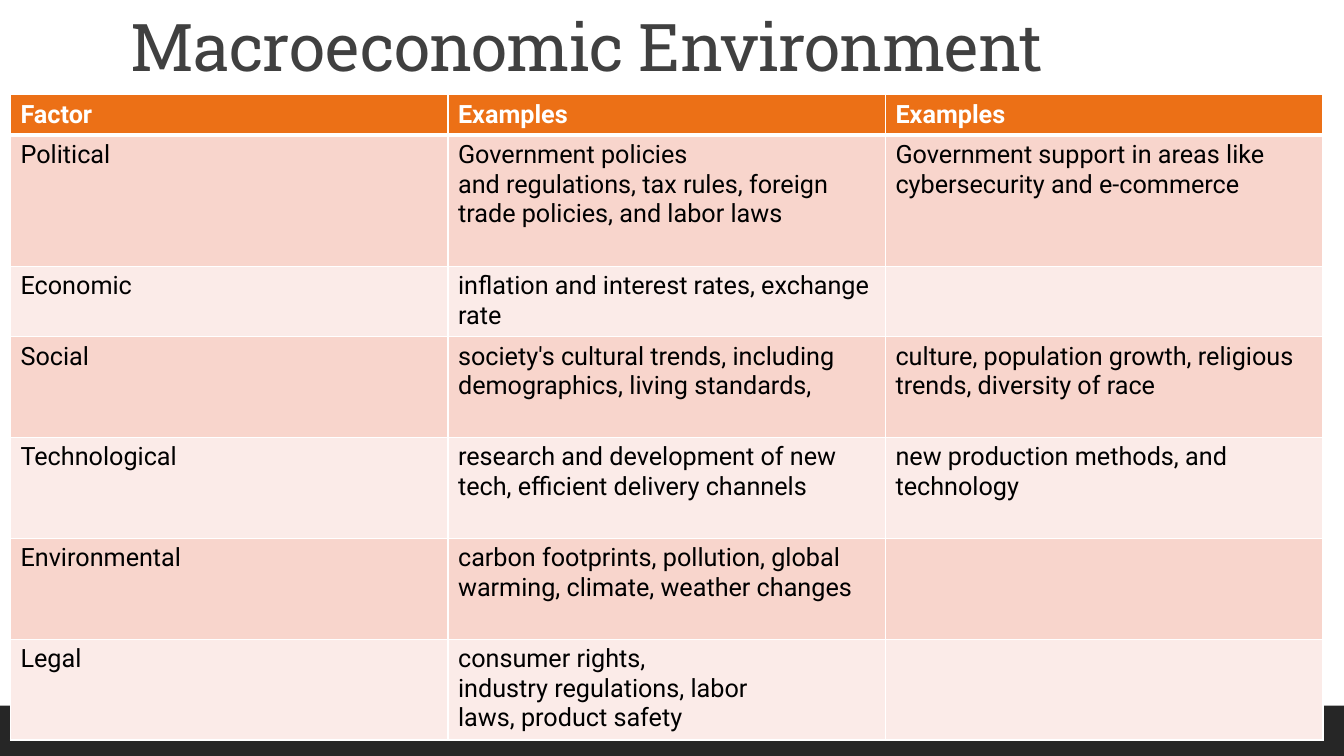
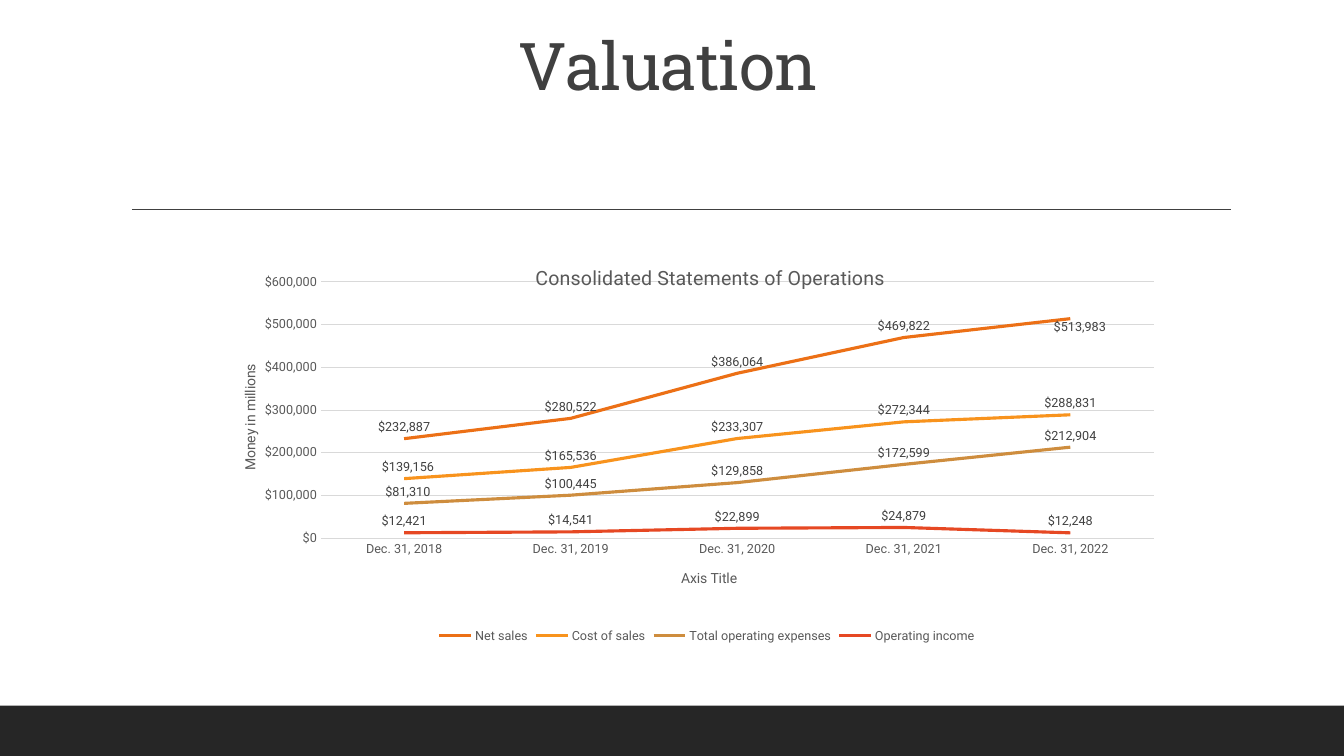
from lxml import etree
from pptx import Presentation
from pptx.chart.data import CategoryChartData
from pptx.dml.color import RGBColor
from pptx.enum import chart as ch, shapes, text
from pptx.oxml.ns import qn
from pptx.util import Pt

# Shared look
DARK = RGBColor(0x26, 0x26, 0x26)
INK = RGBColor(0x40, 0x40, 0x40)
MUTED = RGBColor(0x59, 0x59, 0x59)
GRID = RGBColor(0xD9, 0xD9, 0xD9)
WHITE = RGBColor(0xFF, 0xFF, 0xFF)
BLACK = RGBColor(0, 0, 0)
ORANGE = RGBColor(0xEC, 0x70, 0x16)
AMBER = RGBColor(0xF8, 0x93, 0x1D)
TAN = RGBColor(0xCE, 0x8D, 0x3E)
RED = RGBColor(0xE6, 0x48, 0x23)
ROW_TINTS = (RGBColor(0xF8, 0xD5, 0xCC), RGBColor(0xFB, 0xEB, 0xE8))
BODY, SLAB = "Roboto", "Roboto Slab"
WIDTH, HEIGHT, BAND = 960, 540, 36
DOLLARS = '"$"#,##0'
NBSP = chr(160)

# Table content; "~" ties words that stay on one line
FACTORS = [
    ("Factor", "Examples", "Examples"),
    ("Political",
     "Government policies and~regulations,~tax rules,~foreign trade policies, and~labor laws",
     "Government support in~areas like cybersecurity~and e-commerce"),
    ("Economic", "inflation and interest~rates, exchange rate", ""),
    ("Social",
     "society's cultural trends,~including demographics,~living standards,",
     "culture,~population~growth,~religious trends,~diversity~of race"),
    ("Technological",
     "research and~development of new tech,~efficient delivery channels",
     "new production~methods,~and technology"),
    ("Environmental",
     "carbon footprints,~pollution, global warming,~climate, weather changes", ""),
    ("Legal", "consumer rights, industry~regulations, labor laws,~product safety", ""),
]
ROW_HEIGHTS = (28.8, 93.6, 50.4, 72, 72, 72, 72)

# Chart content
YEARS = range(2018, 2023)
SERIES = [
    ("Net sales", ORANGE, (232887, 280522, 386064, 469822, 513983)),
    ("Cost of sales", AMBER, (139156, 165536, 233307, 272344, 288831)),
    ("Total operating expenses", TAN, (81310, 100445, 129858, 172599, 212904)),
    ("Operating income", RED, (12421, 14541, 22899, 24879, 12248)),
]
# (series, point): label offset as a share of the chart
LABEL_SHIFTS = {(0, 4): (0.01, 0.05), (1, 0): (0.004, 0), (2, 0): (0.004, 0)}


def style_font(font, size, color, name=BODY, bold=False):
    font.size, font.name, font.bold = Pt(size), name, bold
    font.color.rgb = color


def write(tf, content, size=18, color=BLACK, font=BODY, bold=False,
          align=None, line_spacing=None, tracking=None):
    p = tf.paragraphs[0]
    p.alignment, p.line_spacing = align, line_spacing
    r = p.add_run()
    r.text = content
    style_font(r.font, size, color, font, bold)
    if tracking:
        r.font._element.set("spc", str(int(tracking * 100)))


def add_title(s, content, left, top, height, align=None):
    tf = s.shapes.add_textbox(Pt(left), Pt(top), Pt(792), Pt(height)).text_frame
    tf.word_wrap = True
    tf.vertical_anchor = text.MSO_ANCHOR.BOTTOM
    write(tf, content, size=47, color=INK, font=SLAB, align=align,
          line_spacing=0.9, tracking=-0.5)


def add_slide(prs):
    s = prs.slides.add_slide(prs.slide_layouts[6])
    sp = s.shapes.add_shape(shapes.MSO_SHAPE.RECTANGLE, 0, Pt(HEIGHT - BAND),
                            Pt(WIDTH), Pt(BAND))
    sp.shadow.inherit = False
    sp.fill.solid()
    sp.fill.fore_color.rgb = DARK
    sp.line.fill.background()
    return s


def add_rule(s, left, right, y):
    line = s.shapes.add_connector(shapes.MSO_CONNECTOR.STRAIGHT,
                                  Pt(left), Pt(y), Pt(right), Pt(y))
    line.line.color.rgb = INK
    line.line.width = Pt(1)
    etree.SubElement(line._element.spPr, qn("a:effectLst"))


def set_borders(cell, bottom):
    tcPr = cell._tc.get_or_add_tcPr()
    for side, width in (("L", 1), ("R", 1), ("T", 1), ("B", bottom)):
        ln = etree.SubElement(tcPr, qn("a:ln" + side), w=str(Pt(width)))
        fill = etree.SubElement(ln, qn("a:solidFill"))
        etree.SubElement(fill, qn("a:srgbClr"), val=str(WHITE))


def add_factor_table(s):
    table = s.shapes.add_table(len(FACTORS), 3, Pt(7.5), Pt(67.7), Pt(937.5),
                               Pt(sum(ROW_HEIGHTS))).table
    for col in table.columns:
        col.width = Pt(312.5)
    for i, (row, height) in enumerate(zip(FACTORS, ROW_HEIGHTS)):
        table.rows[i].height = Pt(height)
        header = i == 0
        for j, content in enumerate(row):
            cell = table.cell(i, j)
            set_borders(cell, bottom=3 if header else 1)
            cell.fill.solid()
            cell.fill.fore_color.rgb = ORANGE if header else ROW_TINTS[(i - 1) % 2]
            if content:
                write(cell.text_frame, content.replace("~", NBSP),
                      color=WHITE if header else BLACK, bold=header)


def set_layout(parent, index, **values):
    """Place a chart part by hand; values are shares of the chart."""
    old = parent.find(qn("c:layout"))
    if old is not None:
        parent.remove(old)
    layout = etree.Element(qn("c:layout"))
    manual = etree.SubElement(layout, qn("c:manualLayout"))
    for tag, value in values.items():
        etree.SubElement(manual, qn("c:" + tag), val=str(value))
    parent.insert(index, layout)


def add_chart_title(title, content, size, x, y):
    write(title.text_frame, content, size=size, color=MUTED)
    set_layout(title._element, 1, xMode="edge", yMode="edge", x=x, y=y)


def style_axis(axis):
    axis.major_tick_mark = axis.minor_tick_mark = ch.XL_TICK_MARK.NONE
    style_font(axis.tick_labels.font, 9, MUTED)


def style_series(ser, color):
    ser.smooth = False
    ser.marker.style = ch.XL_MARKER_STYLE.NONE
    ser.format.line.color.rgb = color
    ser.format.line.width = Pt(2.25)
    labels = ser.data_labels
    labels.show_value = True
    labels.number_format, labels.number_format_is_linked = DOLLARS, False
    labels.position = ch.XL_LABEL_POSITION.ABOVE
    style_font(labels.font, 9, INK)


def shift_label(ser, point, x, y):
    label = ser.points[point].data_label
    style_font(label.font, 9, INK)
    label.position = ch.XL_LABEL_POSITION.ABOVE
    for dLbl in ser.data_labels._element.findall(qn("c:dLbl")):
        set_layout(dLbl, 1, x=x, y=y)


def add_operations_chart(s):
    data = CategoryChartData(number_format=DOLLARS)
    data.categories = [f"Dec. 31, {year}" for year in YEARS]
    for name, _, values in SERIES:
        data.add_series(name, values)
    chart = s.shapes.add_chart(ch.XL_CHART_TYPE.LINE, Pt(167), Pt(175), Pt(676),
                               Pt(287.3), data).chart
    style_font(chart.font, 10, BLACK)
    plot = chart.plots[0]
    plot.vary_by_categories = False
    set_layout(chart._chartSpace.chart.plotArea, 0, layoutTarget="inner",
               xMode="edge", yMode="edge", x=0.092, y=0.092, w=0.88, h=0.637)

    # Lines and labels
    for ser, (_, color, _) in zip(plot.series, SERIES):
        style_series(ser, color)
    for (i, point), (x, y) in LABEL_SHIFTS.items():
        shift_label(plot.series[i], point, x, y)

    # Axes
    years, money = chart.category_axis, chart.value_axis
    style_axis(years)
    years.format.line.color.rgb = GRID
    years.format.line.width = Pt(0.75)
    style_axis(money)
    money.format.line.fill.background()
    money.minimum_scale, money.maximum_scale, money.major_unit = 0, 600000, 100000
    money.tick_labels.number_format = DOLLARS
    money.tick_labels.number_format_is_linked = False
    money.major_gridlines.format.line.color.rgb = GRID
    money.major_gridlines.format.line.width = Pt(0.75)

    # Titles and legend
    add_chart_title(chart.chart_title, "Consolidated Statements of Operations",
                    14, 0.315, 0.04)
    add_chart_title(years.axis_title, "Axis Title", 10, 0.47, 0.8)
    add_chart_title(money.axis_title, "Money in millions", 10, 0.005, 0.29)
    body = money.axis_title.text_frame._txBody.bodyPr
    body.set("rot", "-5400000")
    body.set("vert", "horz")
    chart.has_legend = True
    chart.legend.position = ch.XL_LEGEND_POSITION.BOTTOM
    chart.legend.include_in_layout = False
    style_font(chart.legend.font, 9, MUTED)


def main():
    prs = Presentation()
    prs.slide_width, prs.slide_height = Pt(WIDTH), Pt(HEIGHT)

    # Macroeconomic factors
    s = add_slide(prs)
    add_title(s, "Macroeconomic Environment", 86.4, 0.7, 64)
    add_factor_table(s)

    # Valuation
    s = add_slide(prs)
    add_rule(s, 94.3, 879, 149.5)
    add_title(s, "Valuation", 81.4, 0, 78.5, align=text.PP_ALIGN.CENTER)
    add_operations_chart(s)

    prs.save("out.pptx")


if __name__ == "__main__":
    main()
